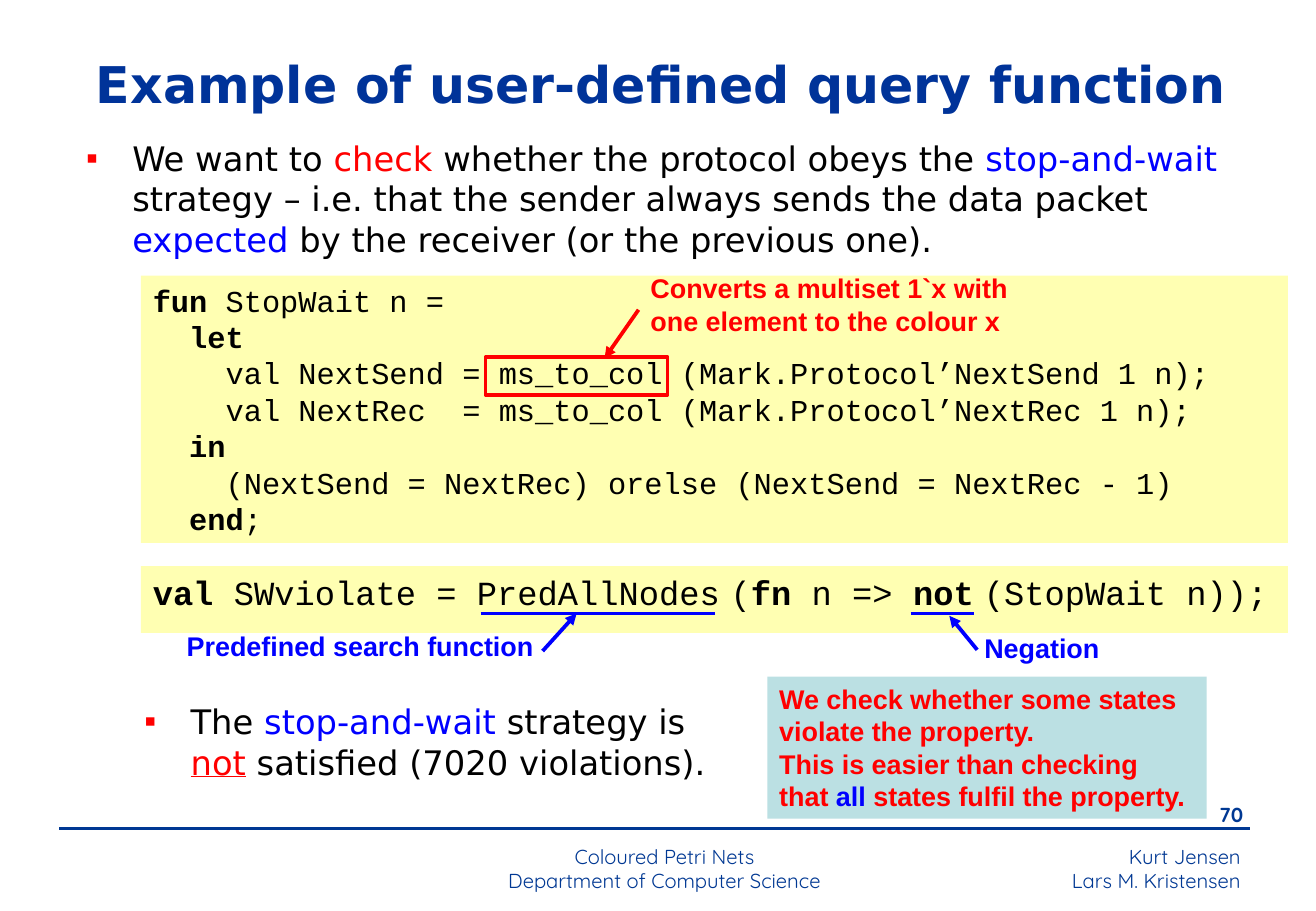
from pptx import Presentation
from pptx.dml.color import RGBColor
from pptx.enum.shapes import MSO_CONNECTOR, MSO_SHAPE
from pptx.enum.text import MSO_ANCHOR, MSO_AUTO_SIZE, PP_ALIGN
from pptx.oxml.ns import qn
from pptx.util import Inches, Pt
from lxml.etree import SubElement

NAVY, RED, BLUE, BLACK = "003893", "FF0000", "0000FF", "000000"
YELLOW, TEAL = "FFFF66", "BBE0E3"
SANS, CODE, NOTE, FOOT = "DejaVu Sans", "Courier New", "Arial", "Quicksand"
BOLD = {"bold": True}


def color(code):
    return RGBColor.from_string(code)


def place(shape, box):
    shape.left, shape.top, shape.width, shape.height = map(Inches, box)


def write(frame, lines, face, size, ink, bold=False, align=PP_ALIGN.LEFT):
    """Each line is a string or a list of strings and (string, style) pairs."""
    frame.auto_size = MSO_AUTO_SIZE.NONE
    for i, line in enumerate(lines):
        para = frame.paragraphs[0] if i == 0 else frame.add_paragraph()
        para.alignment = align
        para.space_before = Pt(0)
        for part in [line] if isinstance(line, str) else line:
            text, style = (part, {}) if isinstance(part, str) else part
            run = para.add_run()
            run.text = text
            font = run.font
            font.name = face
            font.size = Pt(style.get("size", size))
            font.bold = style.get("bold", bold)
            font.underline = style.get("line", False)
            font.color.rgb = color(style.get("ink", ink))


def label(slide, box, lines, face, size, ink, bold=False, align=PP_ALIGN.LEFT):
    shape = slide.shapes.add_textbox(*map(Inches, box))
    shape.text_frame.word_wrap = True
    write(shape.text_frame, lines, face, size, ink, bold, align)


def panel(slide, box, fill=None, alpha=None, edge=None):
    shape = slide.shapes.add_shape(MSO_SHAPE.RECTANGLE, *map(Inches, box))
    shape.shadow.inherit = False
    if fill:
        shape.fill.solid()
        shape.fill.fore_color.rgb = color(fill)
    else:
        shape.fill.background()
    if alpha:
        tint = shape.fill._xPr.find(qn("a:solidFill"))[0]
        SubElement(tint, qn("a:alpha"), val=str(alpha * 1000))
    if edge:
        shape.line.color.rgb = color(edge)
        shape.line.width = Pt(2.25)
    else:
        shape.line.fill.background()
    frame = shape.text_frame
    frame.word_wrap = True
    frame.vertical_anchor = MSO_ANCHOR.TOP
    return frame


def rule(slide, start, end, ink, width=2.25, arrow=False):
    line = slide.shapes.add_connector(
        MSO_CONNECTOR.STRAIGHT, *map(Inches, start + end))
    line.line.color.rgb = color(ink)
    line.line.width = Pt(width)
    if arrow:
        SubElement(line.line._get_or_add_ln(), qn("a:tailEnd"), type="triangle")
    SubElement(line._element.spPr, qn("a:effectLst"))


def heading(slide, box, text):
    title = slide.shapes.title
    place(title, box)
    title.text_frame.vertical_anchor = MSO_ANCHOR.MIDDLE
    write(title.text_frame, [text], SANS, 30, "003399", True)


def bullet(slide, slot, box, parts):
    body = slide.placeholders[slot]
    place(body, box)
    props = body.text_frame.paragraphs[0]._p.get_or_add_pPr()
    props.set("marL", str(Inches(0.38)))
    props.set("indent", str(Inches(-0.38)))
    SubElement(SubElement(props, qn("a:buClr")), qn("a:srgbClr"), val=RED)
    SubElement(props, qn("a:buChar"), char="▪")
    write(body.text_frame, [parts], SANS, 20, BLACK)


def query(slide, box):
    x, y, _, _ = box
    # Function definition
    write(panel(slide, box, YELLOW, 50), [
        [("fun", BOLD), " StopWait n ="],
        ["  ", ("let", BOLD)],
        "    val NextSend = ms_to_col (Mark.Protocol’NextSend 1 n);",
        "    val NextRec  = ms_to_col (Mark.Protocol’NextRec 1 n);",
        ["  ", ("in", BOLD)],
        "    (NextSend = NextRec) orelse (NextSend = NextRec - 1)",
        [("  end", BOLD), ";"],
    ], CODE, 18, BLACK)
    # Marked conversion call
    rule(slide, (x + 4.1, y + 0.28), (x + 3.82, y + 0.68), RED, arrow=True)
    label(slide, (x + 4.1, y - 0.08, 3.58, 0.64),
          ["Converts a multiset 1`x with one element to the colour x"],
          NOTE, 16, RED, True)
    panel(slide, (x + 2.84, y + 0.67, 1.5, 0.31), edge=RED)


def search(slide, box):
    x, y, _, _ = box
    gap = (" ", {"size": 10})
    write(panel(slide, box, YELLOW, 50), [
        [("val", BOLD), " SWviolate = PredAllNodes", gap, "(", ("fn", BOLD),
         " n => ", ("not", BOLD), gap, "(StopWait n));"],
    ], CODE, 20, BLACK)
    # Underlines, arrows and their labels
    base = y + 0.39
    for left, right, tail, tip, name, spot in (
        (2.8, 4.73, (3.31, 0.7), (3.59, 0.39),
         "Predefined search function", (0.28, 0.47, 3.43)),
        (6.34, 6.86, (6.89, 0.69), (6.66, 0.41),
         "Negation", (6.85, 0.49, 1.18)),
    ):
        rule(slide, (x + left, base), (x + right, base), BLUE)
        rule(slide, (x + tail[0], y + tail[1]), (x + tip[0], y + tip[1]),
             BLUE, arrow=True)
        label(slide, (x + spot[0], y + spot[1], spot[2], 0.37),
              [name], NOTE, 16, BLUE, True)


def remark(slide, box):
    write(panel(slide, box, TEAL), [
        "We check whether some states violate the property.",
        ["This is easier than checking that ",
         ("all", {"ink": BLUE, "bold": True}), " states fulfil the property."],
    ], NOTE, 16, RED, True)


def footer(slide, box):
    x, y, w, _ = box
    rule(slide, (x, y), (x + w, y), NAVY, 1.5)
    label(slide, (x + 9.14, y - 0.26, 0.71, 0.33), ["70"],
          FOOT, 12, NAVY, True, PP_ALIGN.RIGHT)
    label(slide, (x + 2.92, y + 0.08, 4.13, 0.5),
          ["Coloured Petri Nets", "Department of Computer Science"],
          FOOT, 12, NAVY, align=PP_ALIGN.CENTER)
    label(slide, (x + 6.46, y + 0.08, 3.37, 0.5),
          ["Kurt Jensen", "Lars M. Kristensen"],
          FOOT, 12, NAVY, align=PP_ALIGN.RIGHT)


def main():
    deck = Presentation()
    deck.slide_width, deck.slide_height = Inches(10.84), Inches(7.5)
    slide = deck.slides.add_slide(deck.slide_layouts[3])
    red, blue = {"ink": RED}, {"ink": BLUE}

    footer(slide, (0.49, 6.82, 9.81, 0.58))
    heading(slide, (0.69, 0.34, 9.96, 0.69),
            "Example of user-defined query function")
    bullet(slide, 1, (0.61, 1.08, 10, 1.1), [
        "We want to ", ("check", red), " whether the protocol obeys the ",
        ("stop-and-wait ", blue),
        "strategy – i.e. that the sender always sends the data packet ",
        ("expected", blue), " by the receiver (or the previous one)."])
    query(slide, (1.16, 2.27, 9.45, 2.2))
    search(slide, (1.16, 4.66, 9.45, 0.55))
    remark(slide, (6.32, 5.57, 3.62, 1.17))
    bullet(slide, 2, (1.09, 5.72, 5.04, 0.87), [
        "The ", ("stop-and-wait", blue), " strategy is ",
        ("not", {"ink": RED, "line": True}),
        " satisfied (7020 violations)."])
    deck.save("out.pptx")


if __name__ == "__main__":
    main()
